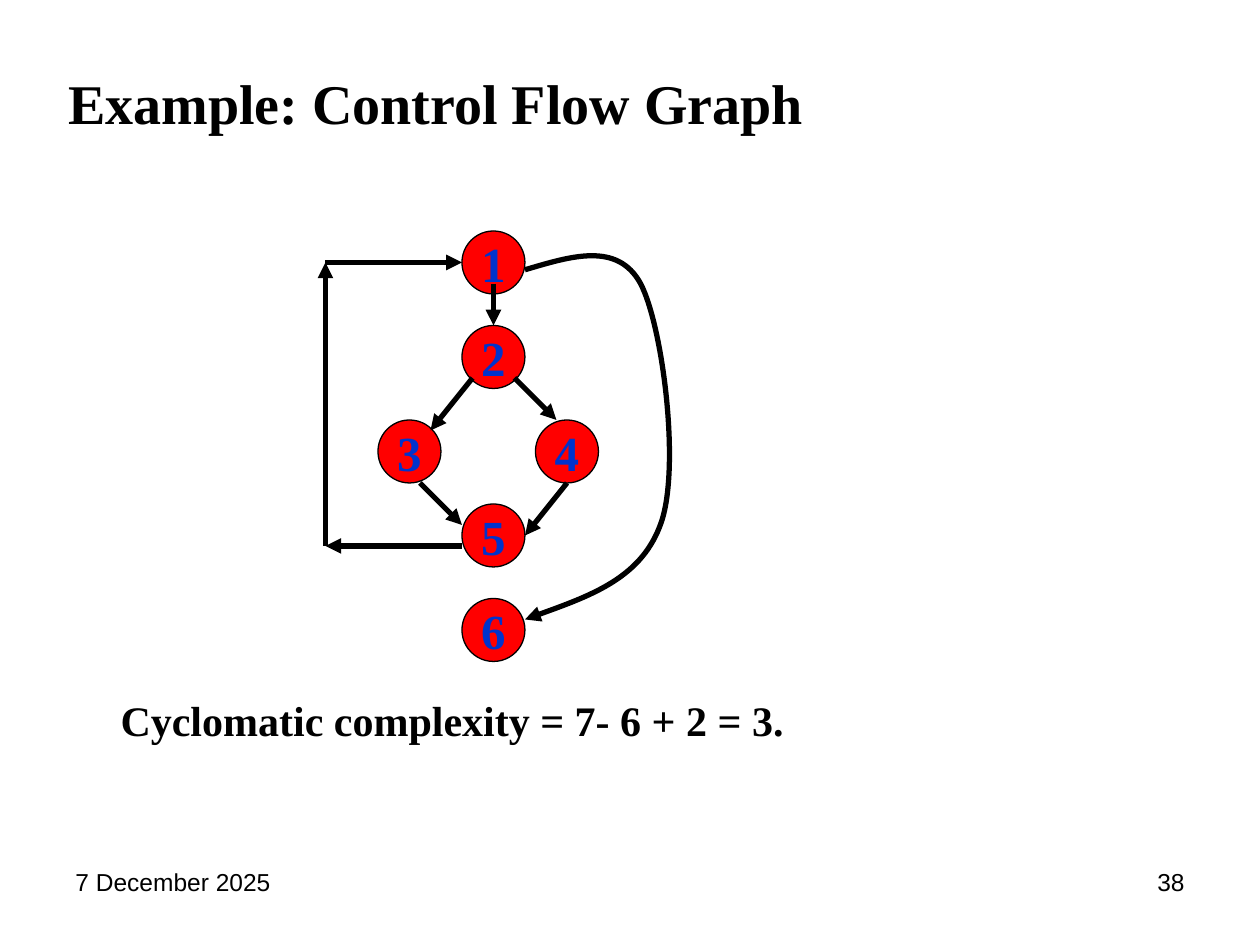
import pptx
import pptx.dml.color
import pptx.enum.shapes
import pptx.enum.text
import pptx.oxml
import pptx.oxml.ns
import pptx.util

PX = 7620  # EMU per px, 120 px to the inch
SERIF, SANS = "Times New Roman", "Arial"
BLACK, RED, BLUE = "000000", "FF0000", "0033CC"
ALIGN = pptx.enum.text.PP_ALIGN
ANCHOR = pptx.enum.text.MSO_ANCHOR

# Positions inside the graph box
NODE_SIZE = 60
NODES = {"1": (130, 0), "2": (130, 90), "3": (50, 180),
         "4": (200, 180), "5": (130, 260), "6": (130, 350)}
EDGES = [
    ((160, 50), (160, 90)),     # 1 to 2
    ((140, 140), (100, 190)),   # 2 to 3
    ((180, 140), (220, 180)),   # 2 to 4
    ((90, 240), (130, 280)),    # 3 to 5
    ((230, 240), (190, 290)),   # 4 to 5
    ((130, 300), (0, 300)),     # 5 back to 1, in three legs
    ((0, 300), (0, 30)),
    ((0, 30), (130, 30)),
]
EXIT_CURVE = [(190, 37), (234, 24), (278, 10), (300, 50), (321, 90),
              (338, 223), (320, 277), (302, 330), (246, 350), (190, 370)]


def px(*lengths):
    return [pptx.util.Emu(length * PX) for length in lengths]


def color(hex_string):
    return pptx.dml.color.RGBColor.from_string(hex_string)


def write(shape, text, size, font=SERIF, fill=BLACK, bold=False,
          align=ALIGN.LEFT, anchor=ANCHOR.TOP, wrap=True):
    frame = shape.text_frame
    frame.word_wrap = wrap
    frame.auto_size = pptx.enum.text.MSO_AUTO_SIZE.NONE
    frame.vertical_anchor = anchor
    paragraph = frame.paragraphs[0]
    paragraph.alignment = align
    run = paragraph.add_run()
    run.text = text
    run.font.size = pptx.util.Pt(size)
    run.font.name = font
    run.font.bold = bold
    run.font.color.rgb = color(fill)


def add_text(slide, box, text, size, **text_format):
    write(slide.shapes.add_textbox(*px(*box)), text, size, **text_format)


def add_title(slide, box, text):
    title = slide.shapes.title
    title.left, title.top, title.width, title.height = px(*box)
    write(title, text, 32, bold=True, anchor=ANCHOR.BOTTOM)


def style_arrow(shape):
    shape.line.color.rgb = color(BLACK)
    shape.line.width = pptx.util.Pt(3)
    line = shape.line._get_or_add_ln()
    line.append(pptx.oxml.parse_xml(
        f'<a:tailEnd {pptx.oxml.ns.nsdecls("a")} type="triangle"/>'))


def add_node(slide, left, top, label):
    node = slide.shapes.add_shape(pptx.enum.shapes.MSO_SHAPE.OVAL,
                                  *px(left, top, NODE_SIZE, NODE_SIZE))
    node.shadow.inherit = False
    node.fill.solid()
    node.fill.fore_color.rgb = color(RED)
    node.line.color.rgb = color(BLACK)
    node.line.width = pptx.util.Pt(0.75)
    write(node, label, 28, fill=BLUE, bold=True, align=ALIGN.CENTER,
          anchor=ANCHOR.MIDDLE, wrap=False)


def add_edge(slide, start, end):
    edge = slide.shapes.add_connector(pptx.enum.shapes.MSO_CONNECTOR.STRAIGHT,
                                      *px(*start, *end))
    style_arrow(edge)
    edge._element.spPr.append(pptx.oxml.parse_xml(
        f'<a:effectLst {pptx.oxml.ns.nsdecls("a")}/>'))


def add_curve(slide, points):
    """Draw Bezier segments through a start point and triples of points."""
    builder = slide.shapes.build_freeform(*points[0], scale=PX)
    builder.add_line_segments(points[1:], close=False)
    curve = builder.convert_to_shape()
    curve.shadow.inherit = False
    curve.fill.background()
    style_arrow(curve)
    # Join each three line segments into one cubic segment
    steps = curve._element.xpath(".//a:lnTo")
    for index in range(0, len(steps), 3):
        cubic = pptx.oxml.parse_xml(
            f'<a:cubicBezTo {pptx.oxml.ns.nsdecls("a")}/>')
        steps[index].addprevious(cubic)
        for step in steps[index:index + 3]:
            cubic.append(step[0])
            step.getparent().remove(step)


def add_graph(slide, left, top):
    def place(point):
        return left + point[0], top + point[1]

    for label, corner in NODES.items():
        add_node(slide, *place(corner), label)
    for start, end in EDGES:
        add_edge(slide, place(start), place(end))
    add_curve(slide, [place(point) for point in EXIT_CURVE])


def add_footer(slide, top, date, number):
    add_text(slide, (60, top, 280, 62), date, 14, font=SANS)
    add_text(slide, (860, top, 280, 62), number, 14, font=SANS,
             align=ALIGN.RIGHT)


def main():
    presentation = pptx.Presentation()
    presentation.slide_width, presentation.slide_height = px(1200, 900)
    slide = presentation.slides.add_slide(presentation.slide_layouts[5])
    add_title(slide, (53, 50, 1020, 85), "Example: Control Flow Graph")
    add_graph(slide, 310, 220)
    add_text(slide, (103, 656, 1040, 60),
             "Cyclomatic complexity = 7- 6 + 2 = 3.", 24, bold=True)
    add_footer(slide, 820, "7 December 2025", "38")
    presentation.save("out.pptx")


if __name__ == "__main__":
    main()
